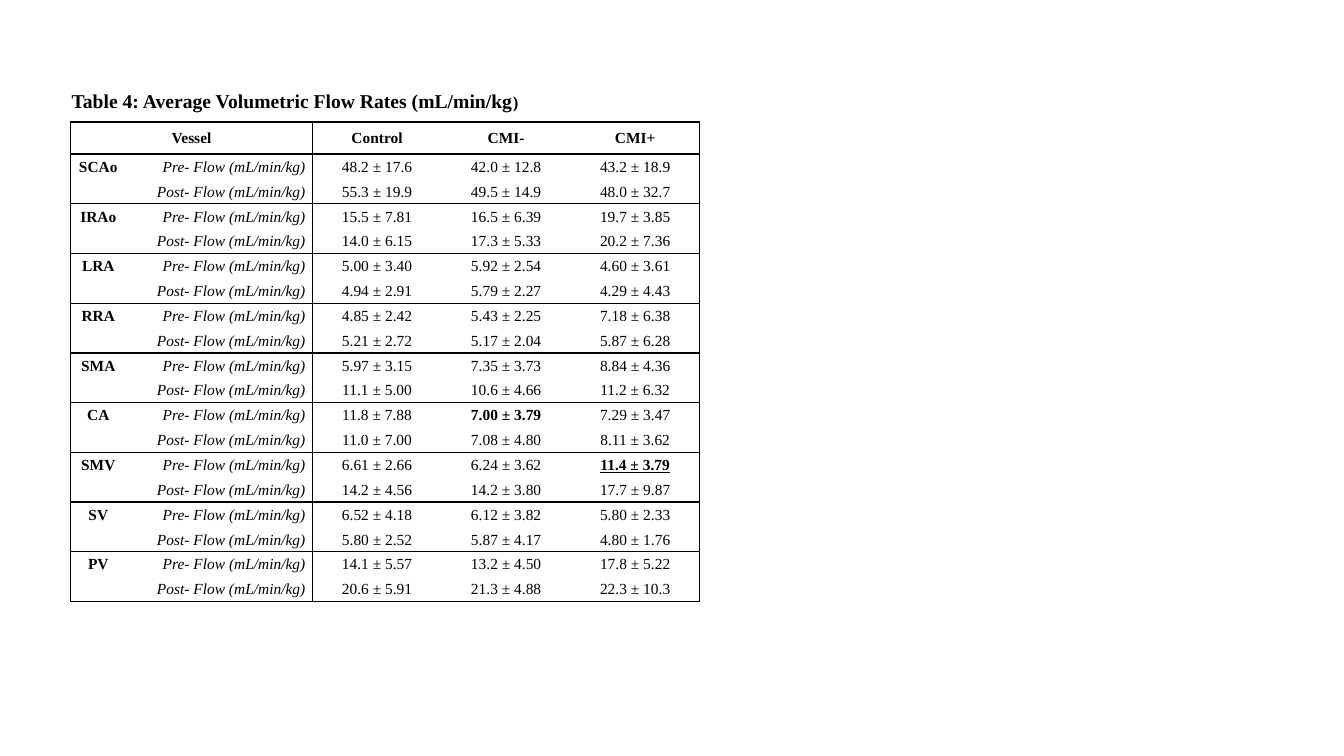
from lxml.etree import SubElement
from pptx import Presentation
from pptx.dml.color import RGBColor
from pptx.enum.text import MSO_ANCHOR, MSO_AUTO_SIZE, PP_ALIGN
from pptx.oxml.ns import qn
from pptx.util import Inches, Pt

BLACK = RGBColor(0x00, 0x00, 0x00)
FONT = "Times New Roman"
TABLE_HEIGHT, HEADER_HEIGHT = 4.76, 0.32
COLUMN_WIDTHS = [0.55, 1.85, 1.28, 1.28, 1.28]
GROUPS = ["Control", "CMI-", "CMI+"]

# Vessel, pre-flow values, post-flow values
FLOWS = [
    ("SCAo", ["48.2 ± 17.6", "42.0 ± 12.8", "43.2 ± 18.9"],
     ["55.3 ± 19.9", "49.5 ± 14.9", "48.0 ± 32.7"]),
    ("IRAo", ["15.5 ± 7.81", "16.5 ± 6.39", "19.7 ± 3.85"],
     ["14.0 ± 6.15", "17.3 ± 5.33", "20.2 ± 7.36"]),
    ("LRA", ["5.00 ± 3.40", "5.92 ± 2.54", "4.60 ± 3.61"],
     ["4.94 ± 2.91", "5.79 ± 2.27", "4.29 ± 4.43"]),
    ("RRA", ["4.85 ± 2.42", "5.43 ± 2.25", "7.18 ± 6.38"],
     ["5.21 ± 2.72", "5.17 ± 2.04", "5.87 ± 6.28"]),
    ("SMA", ["5.97 ± 3.15", "7.35 ± 3.73", "8.84 ± 4.36"],
     ["11.1 ± 5.00", "10.6 ± 4.66", "11.2 ± 6.32"]),
    ("CA", ["11.8 ± 7.88", "7.00 ± 3.79", "7.29 ± 3.47"],
     ["11.0 ± 7.00", "7.08 ± 4.80", "8.11 ± 3.62"]),
    ("SMV", ["6.61 ± 2.66", "6.24 ± 3.62", "11.4 ± 3.79"],
     ["14.2 ± 4.56", "14.2 ± 3.80", "17.7 ± 9.87"]),
    ("SV", ["6.52 ± 4.18", "6.12 ± 3.82", "5.80 ± 2.33"],
     ["5.80 ± 2.52", "5.87 ± 4.17", "4.80 ± 1.76"]),
    ("PV", ["14.1 ± 5.57", "13.2 ± 4.50", "17.8 ± 5.22"],
     ["20.6 ± 5.91", "21.3 ± 4.88", "22.3 ± 10.3"]),
]
# Highlighted values: (vessel, column) of a pre-flow row
BOLD_VALUES = {("CA", 3), ("SMV", 4)}
UNDERLINED_VALUES = {("SMV", 4)}


def add_text(para, text, size=11, bold=False, italic=False, underline=False,
             align=PP_ALIGN.CENTER, spacing=1.07):
    para.alignment = align
    para.line_spacing = spacing
    if not text:
        # An empty cell keeps the table's text height
        SubElement(para._p, qn("a:endParaRPr"), sz=str(size * 100))
        return
    span = para.add_run()
    span.text = text
    font = span.font
    font.name, font.size, font.color.rgb = FONT, Pt(size), BLACK
    font.bold, font.italic, font.underline = bold, italic, underline


def set_borders(cell, **widths):
    """Draw the sides given in points (L, R, T, B) and clear the others."""
    properties = cell._tc.get_or_add_tcPr()
    for side in "LRTB":
        width = widths.get(side, 0)
        line = SubElement(properties, qn(f"a:ln{side}"), w=str(int(Pt(width))))
        if width:
            fill = SubElement(line, qn("a:solidFill"))
            SubElement(fill, qn("a:srgbClr"), val=str(BLACK))
        else:
            SubElement(line, qn("a:noFill"))


def cell_borders(row, column):
    widths = {}
    if column in (0, 2):
        widths["L"] = 1
    if column in (1, 4) or (row, column) == (0, 0):
        widths["R"] = 1
    if row == 0 or row % 2 == 1:
        widths["T"] = 1.5 if row == 1 else 1
    if row % 2 == 0:
        widths["B"] = 1.5 if row == 0 else 1
    return widths


def format_cell(cell, row, column):
    cell.vertical_anchor = MSO_ANCHOR.MIDDLE
    cell.margin_left = cell.margin_right = Inches(0.07)
    cell.margin_top = cell.margin_bottom = 0
    set_borders(cell, **cell_borders(row, column))
    cell.fill.background()


def add_title(page):
    title = page.shapes.title
    title.left, title.top = Inches(0.61), Inches(0.83)
    title.width, title.height = Inches(4.66), Inches(0.34)
    frame = title.text_frame
    frame.word_wrap = False
    frame.auto_size = MSO_AUTO_SIZE.SHAPE_TO_FIT_TEXT
    frame.vertical_anchor = MSO_ANCHOR.MIDDLE
    para = frame.paragraphs[0]
    for text, size in (("Table 4: Average Volumetric Flow Rates (mL/min/kg", 14), (")", 12)):
        add_text(para, text, size=size, bold=True, align=PP_ALIGN.LEFT, spacing=1.0)


def add_flow_table(page):
    row_count = 1 + 2 * len(FLOWS)
    frame = page.shapes.add_table(row_count, len(COLUMN_WIDTHS), Inches(0.7), Inches(1.21),
                                  Inches(sum(COLUMN_WIDTHS)), Inches(TABLE_HEIGHT))
    table = frame.table
    table.first_row = table.horz_banding = False
    for column, width in zip(table.columns, COLUMN_WIDTHS):
        column.width = Inches(width)
    for row in table.rows:
        row.height = Inches((TABLE_HEIGHT - HEADER_HEIGHT) / (row_count - 1))
    table.rows[0].height = Inches(HEADER_HEIGHT)

    for row in range(row_count):
        for column in range(len(COLUMN_WIDTHS)):
            format_cell(table.cell(row, column), row, column)

    # Header row
    table.cell(0, 0).merge(table.cell(0, 1))
    for column, text in enumerate(["Vessel", ""] + GROUPS):
        add_text(table.cell(0, column).text_frame.paragraphs[0], text, bold=True)

    # Two rows per vessel
    for index, (vessel, pre_values, post_values) in enumerate(FLOWS):
        for offset, (name, stage, values) in enumerate(
                [(vessel, "Pre", pre_values), ("", "Post", post_values)]):
            paras = [cell.text_frame.paragraphs[0]
                     for cell in table.rows[1 + 2 * index + offset].cells]
            add_text(paras[0], name, bold=True)
            add_text(paras[1], f"{stage}- Flow (mL/min/kg)", italic=True, align=PP_ALIGN.RIGHT)
            for column, value in enumerate(values, start=2):
                add_text(paras[column], value, bold=(name, column) in BOLD_VALUES,
                         underline=(name, column) in UNDERLINED_VALUES)


def main():
    deck = Presentation()
    deck.slide_width, deck.slide_height = Inches(13.33), Inches(7.5)
    page = deck.slides.add_slide(deck.slide_layouts[5])
    add_title(page)
    add_flow_table(page)
    deck.save("out.pptx")


if __name__ == "__main__":
    main()
